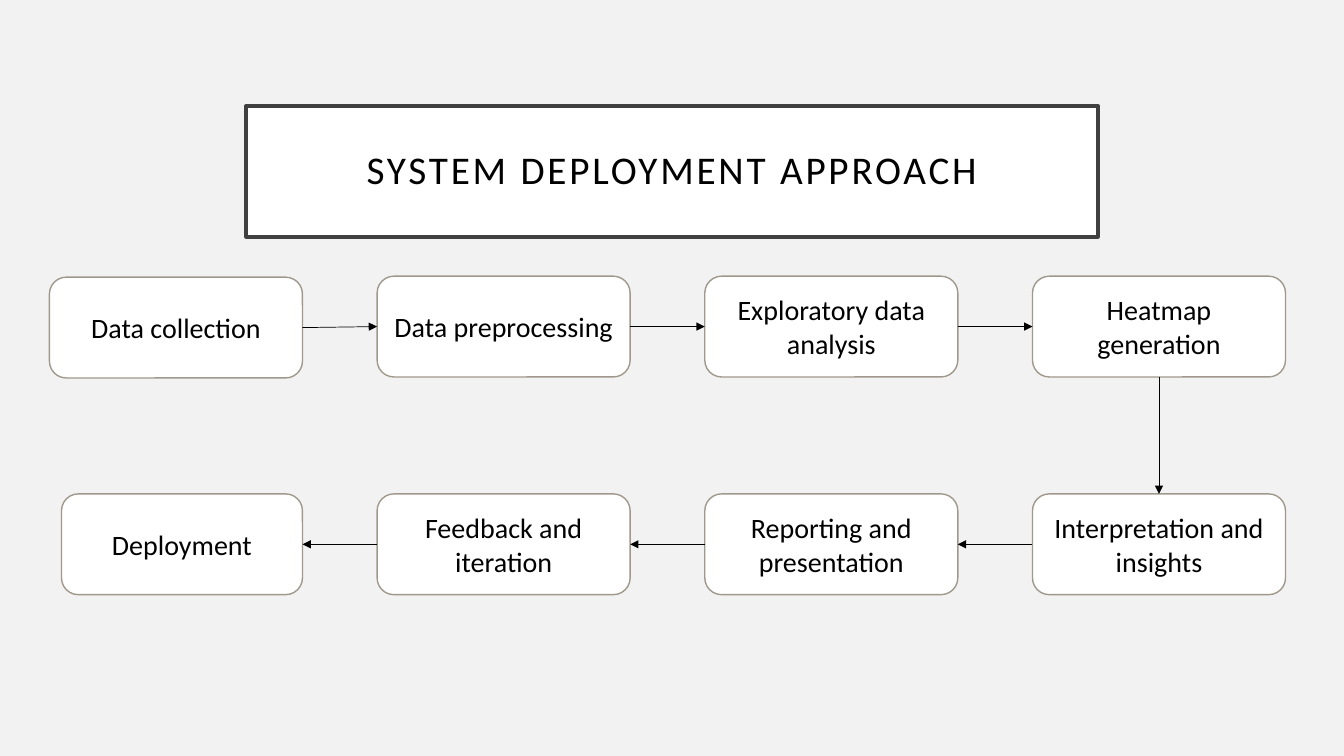
from dataclasses import dataclass
from itertools import pairwise

from lxml.etree import SubElement
from pptx import Presentation
from pptx.dml.color import RGBColor
from pptx.enum.shapes import MSO_CONNECTOR, MSO_SHAPE
from pptx.enum.text import MSO_ANCHOR, MSO_AUTO_SIZE, PP_ALIGN
from pptx.oxml.ns import qn
from pptx.util import Inches, Pt


@dataclass(frozen=True)
class Theme:
    font: str = "Calibri"
    title_size: int = 28
    step_size: int = 20
    background: RGBColor = RGBColor.from_string("F2F2F2")
    panel: RGBColor = RGBColor.from_string("FFFFFF")
    text: RGBColor = RGBColor.from_string("000000")
    title_border: RGBColor = RGBColor.from_string("404040")
    step_border: RGBColor = RGBColor.from_string("A0988C")


theme = Theme()


def style_panel(panel, words, size, border, border_width):
    """Fill and outline a panel and centre its words; return the run."""
    panel.fill.solid()
    panel.fill.fore_color.rgb = theme.panel
    panel.line.color.rgb = border
    panel.line.width = Pt(border_width)
    frame = panel.text_frame
    frame.text = words
    frame.word_wrap = True
    frame.auto_size = MSO_AUTO_SIZE.NONE
    frame.vertical_anchor = MSO_ANCHOR.MIDDLE
    paragraph = frame.paragraphs[0]
    paragraph.alignment = PP_ALIGN.CENTER
    run = paragraph.runs[0]
    run.font.name = theme.font
    run.font.size = Pt(size)
    run.font.color.rgb = theme.text
    return run


deck = Presentation()
deck.slide_width, deck.slide_height = Inches(13.33), Inches(7.5)
slide = deck.slides.add_slide(deck.slide_layouts[5])
slide.background.fill.solid()
slide.background.fill.fore_color.rgb = theme.background

# Title
title = slide.shapes.title
title.left, title.top = Inches(2.44), Inches(1.05)
title.width, title.height = Inches(8.45), Inches(1.3)
heading = style_panel(title, "SYSTEM DEPLOYMENT APPROACH", theme.title_size,
                      theme.title_border, 2.5)
heading.font._element.set("spc", "200")
title.text_frame.paragraphs[0].line_spacing = 0.9
title.text_frame.margin_left = title.text_frame.margin_right = Inches(0.2)
title.text_frame.margin_top = title.text_frame.margin_bottom = Inches(0.2)

# Process grid: the first row runs right, the second runs back left
GRID_LEFT, GRID_TOP = 0.49, 2.74
COLUMN_PITCH, ROW_PITCH = 3.25, 2.16
STEP_WIDTH, STEP_HEIGHT = 2.51, 1
COLUMNS = 4
TOP, LEFT, BOTTOM, RIGHT = range(4)  # connection sites of a step

process = [
    "Data collection", "Data preprocessing",
    "Exploratory data analysis", "Heatmap generation",
    "Interpretation and insights", "Reporting and presentation",
    "Feedback and iteration", "Deployment",
]
left_inset = {"Deployment": 0.12}
drop = {"Data collection": 0.01}

# Steps
steps = []
for index, words in enumerate(process):
    row, place = divmod(index, COLUMNS)
    column = COLUMNS - 1 - place if row else place
    inset = left_inset.get(words, 0)
    step = slide.shapes.add_shape(
        MSO_SHAPE.ROUNDED_RECTANGLE,
        Inches(GRID_LEFT + column * COLUMN_PITCH + inset),
        Inches(GRID_TOP + row * ROW_PITCH + drop.get(words, 0)),
        Inches(STEP_WIDTH - inset), Inches(STEP_HEIGHT))
    step.shadow.inherit = False
    style_panel(step, words, theme.step_size, theme.step_border, 1)
    steps.append(step)

# Arrows from each step to the next
for index, (before, after) in enumerate(pairwise(steps)):
    if index < COLUMNS - 1:
        leave, enter = RIGHT, LEFT
    elif index == COLUMNS - 1:
        leave, enter = BOTTOM, TOP
    else:
        leave, enter = LEFT, RIGHT
    arrow = slide.shapes.add_connector(MSO_CONNECTOR.STRAIGHT, 0, 0, 0, 0)
    arrow.begin_connect(before, leave)
    arrow.end_connect(after, enter)
    arrow.line.color.rgb = theme.text
    arrow.line.width = Pt(0.5)
    SubElement(arrow.line._get_or_add_ln(), qn("a:tailEnd"), type="triangle")
    SubElement(arrow._element.spPr, qn("a:effectLst"))

deck.save("out.pptx")
